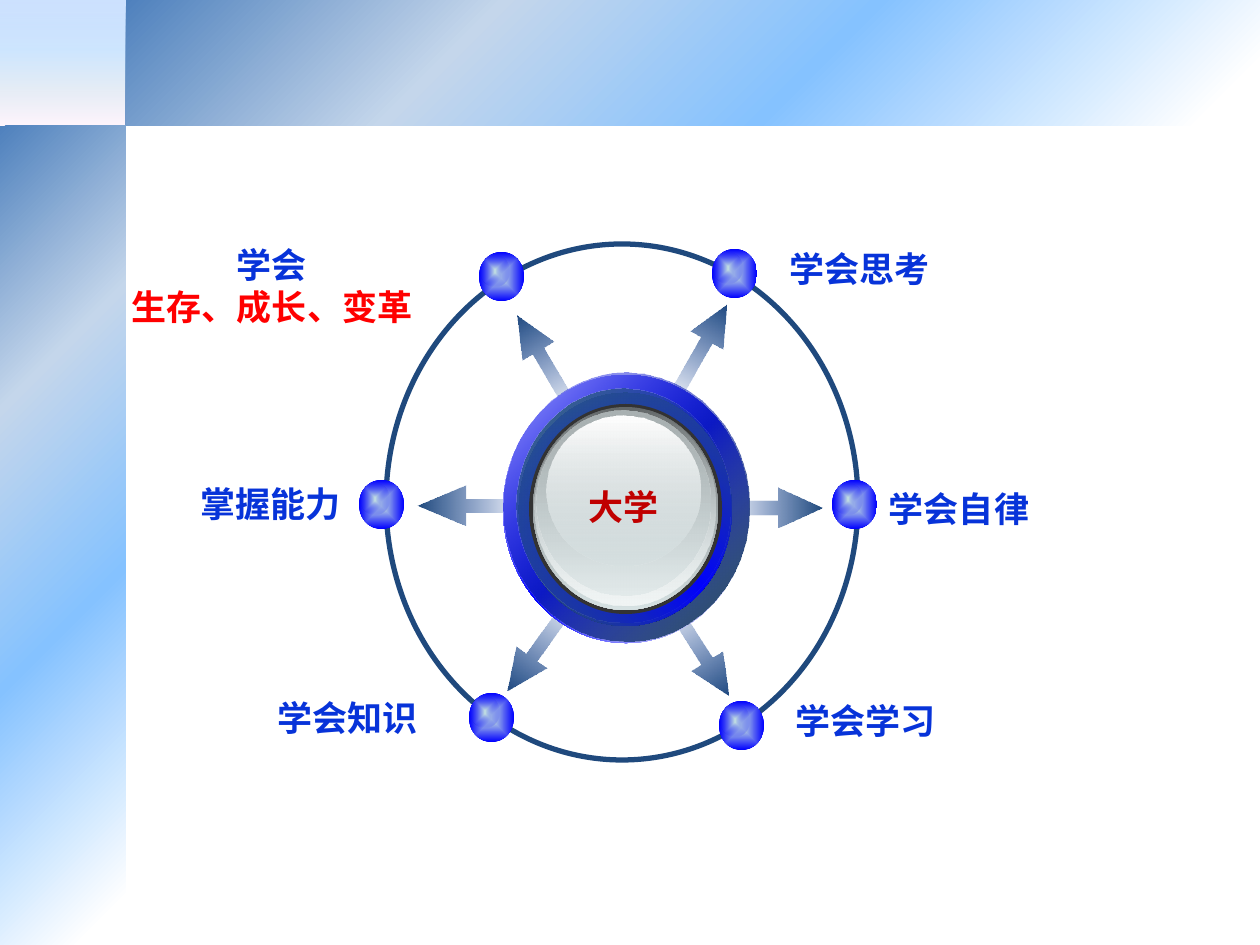
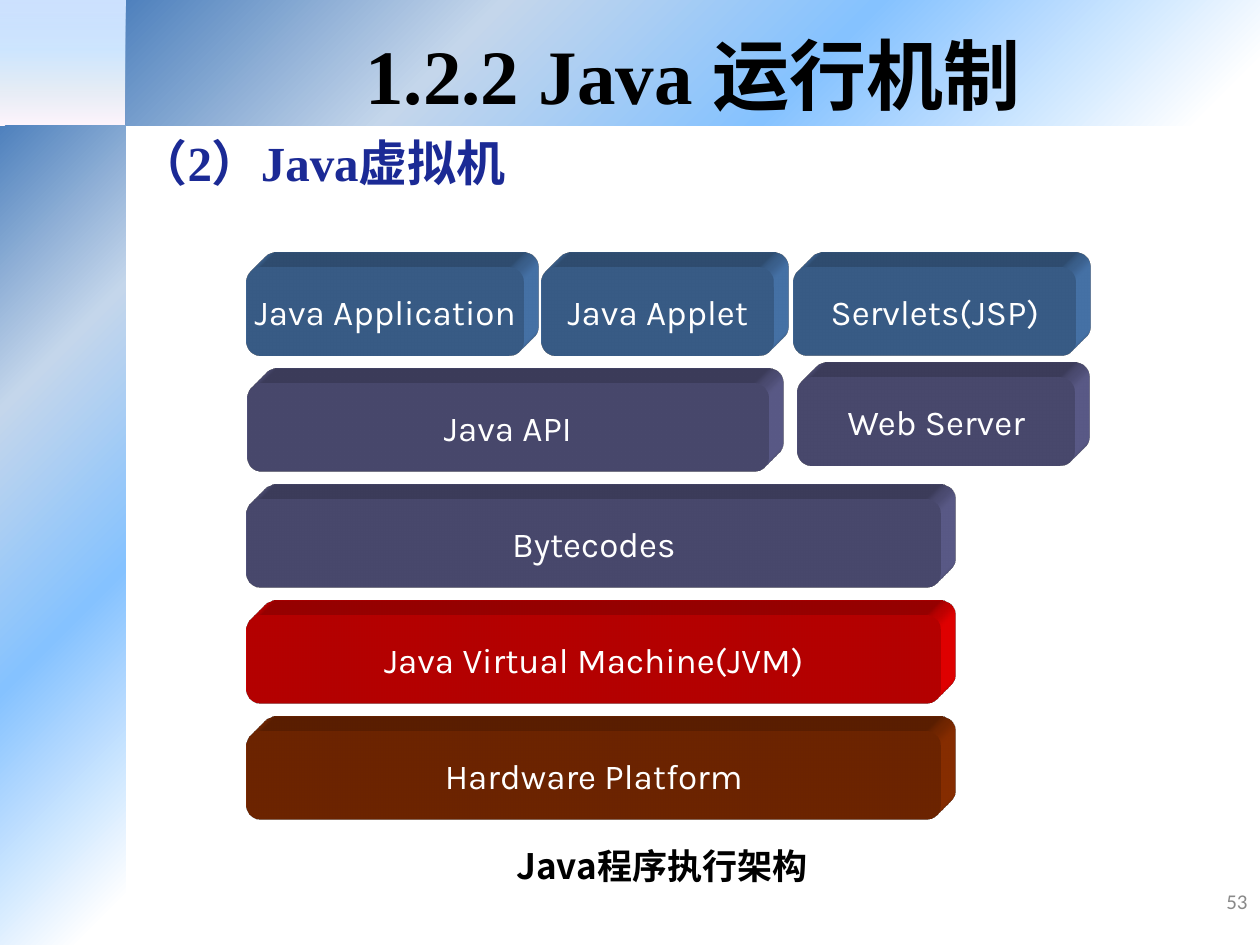
from typing import NamedTuple, Optional

from lxml import etree
from pptx import Presentation
from pptx import util as u
from pptx.dml import color as dml
from pptx.enum import shapes, text
from pptx.oxml import ns

EMU_PER_PX = 914400 / 126
CJK_FONT = "Noto Sans CJK SC"
TITLE_FONT = "Times New Roman"
BLACK, WHITE, BLUE, RED = "000000", "FFFFFF", "0733D9", "FF0000"
NAVY, STEEL, VIOLET = "1F497D", "4F81BD", "666699"
LEFT, CENTER, RIGHT = text.PP_ALIGN.LEFT, text.PP_ALIGN.CENTER, text.PP_ALIGN.RIGHT
OVAL = shapes.MSO_SHAPE.OVAL


class Box(NamedTuple):
    left: int
    top: int
    width: int
    height: int


class Stop(NamedTuple):
    position: int
    color: str
    opacity: int = 100


class Gradient(NamedTuple):
    stops: list[Stop]
    angle: int = 0
    path_kind: str = ""
    focus: tuple[int, int, int, int] = (50, 50, 50, 50)


class Style(NamedTuple):
    size: int
    color: str
    font: str = CJK_FONT
    bold: bool = True
    align: text.PP_ALIGN = LEFT


class Arrow(NamedTuple):
    box: Box
    rotation: float
    head: float = 1.11


class Label(NamedTuple):
    box: Box
    lines: list[tuple[str, str]]
    align: text.PP_ALIGN = LEFT


class Block(NamedTuple):
    caption: str
    left: int
    top: int
    width: int
    color: str


# Shared helpers
def px(length: float) -> u.Emu:
    return u.Emu(round(length * EMU_PER_PX))


def rgb(color: str) -> dml.RGBColor:
    return dml.RGBColor.from_string(color)


def add_element(parent, tag: str, **attributes):
    element = etree.SubElement(parent, ns.qn(f"a:{tag}"))
    for name, value in attributes.items():
        element.set(name, str(value))
    return element


def fill_gradient(shape, gradient: Gradient) -> None:
    shape.fill.gradient()
    element = shape.element.spPr.find(ns.qn("a:gradFill"))
    for child in list(element):
        element.remove(child)
    element.set("rotWithShape", "1")
    stop_list = add_element(element, "gsLst")
    for stop in gradient.stops:
        node = add_element(stop_list, "gs", pos=stop.position * 1000)
        color = add_element(node, "srgbClr", val=stop.color)
        if stop.opacity < 100:
            add_element(color, "alpha", val=stop.opacity * 1000)
    if gradient.path_kind:
        route = add_element(element, "path", path=gradient.path_kind)
        sides = {side: value * 1000 for side, value in zip("ltrb", gradient.focus)}
        add_element(route, "fillToRect", **sides)
    else:
        add_element(element, "lin", ang=gradient.angle * 60000, scaled=0)


def draw_shape(slide, kind: shapes.MSO_SHAPE, box: Box, fill: Optional[Gradient | str]):
    shape = slide.shapes.add_shape(kind, *map(px, box))
    shape.shadow.inherit = False
    shape.line.fill.background()
    if isinstance(fill, Gradient):
        fill_gradient(shape, fill)
    elif fill:
        shape.fill.solid()
        shape.fill.fore_color.rgb = rgb(fill)
    else:
        shape.fill.background()
    return shape


def style_paragraph(paragraph, style: Style, bullet: bool = True) -> None:
    paragraph.alignment = style.align
    paragraph.space_before = u.Pt(0)
    if not bullet:
        properties = paragraph._p.get_or_add_pPr()
        properties.set("marL", "0")
        properties.set("indent", "0")
        add_element(properties, "buNone")
    font = paragraph.font
    font.name, font.size, font.bold = style.font, u.Pt(style.size), style.bold
    font.color.rgb = rgb(style.color)
    add_element(paragraph._p.pPr.find(ns.qn("a:defRPr")), "ea", typeface=CJK_FONT)


def draw_text(slide, box: Box, lines: list[str], styles: list[Style],
              anchor: text.MSO_ANCHOR = text.MSO_ANCHOR.TOP) -> None:
    frame = slide.shapes.add_textbox(*map(px, box)).text_frame
    frame.word_wrap = True
    frame.vertical_anchor = anchor
    frame.text = "\n".join(lines)
    for paragraph, style in zip(frame.paragraphs, styles):
        style_paragraph(paragraph, style)


def fill_placeholder(placeholder, box: Box, content: str, style: Style) -> None:
    placeholder.left, placeholder.top, placeholder.width, placeholder.height = map(px, box)
    frame = placeholder.text_frame
    frame.text = content
    frame.word_wrap = True
    frame.auto_size = text.MSO_AUTO_SIZE.NONE
    frame.vertical_anchor = text.MSO_ANCHOR.TOP
    style_paragraph(frame.paragraphs[0], style, bullet=False)


# Bands that every slide takes from the master
CORNER = Gradient([Stop(0, "5E9EFF", 31), Stop(40, "85C2FF", 40),
                   Stop(70, "C4D6EB", 44), Stop(100, "FFEBFA", 50)], angle=90)
BAND = Gradient([Stop(5, WHITE), Stop(40, "85C2FF"), Stop(70, "C4D6EB"), Stop(100, STEEL)],
                path_kind="circle", focus=(100, 100, 0, 0))
BANDS = [(Box(0, 0, 126, 126), CORNER), (Box(126, 0, 1134, 126), BAND),
         (Box(0, 126, 126, 819), BAND)]


def add_master_bands(presentation, slide) -> None:
    """Draw the bands on a slide, then move them behind the master's placeholders."""
    tree = presentation.slide_master.element.cSld.spTree
    for index, (box, gradient) in enumerate(BANDS):
        band = draw_shape(slide, shapes.MSO_SHAPE.RECTANGLE, box, gradient)
        tree.insert(2 + index, band.element)


# Slide 1: what a university teaches
ARROW_FILL = Gradient([Stop(0, "15439E", 0), Stop(100, NAVY)])
ARROWS = [
    Arrow(Box(644, 334, 110, 37), 299.6),
    Arrow(Box(644, 631, 110, 37), 57.8),
    Arrow(Box(490, 344, 110, 37), 239.5),
    Arrow(Box(485, 627, 110, 37), 125.6),
    Arrow(Box(722, 488, 100, 40), 0),
    Arrow(Box(417, 486, 110, 40), 180, 1.21),
]
NODE_FILL = Gradient([Stop(0, "C6E3E2"), Stop(100, "0000FF")], path_kind="shape")
GLOW_FILL = Gradient([Stop(0, "C6E3E2"), Stop(100, "0000FF", 0)], path_kind="shape")
NODES = [(479, 252), (359, 480), (469, 693), (712, 249), (832, 480), (719, 701)]
HUB_LAYERS = [
    (Box(503, 375, 246, 268),
     Gradient([Stop(0, WHITE), Stop(50, "0000FF"), Stop(100, WHITE)], 45)),
    (Box(503, 373, 246, 268), Gradient([Stop(0, "0000FF", 32), Stop(100, "274F4E")], 45)),
    (Box(519, 393, 213, 233),
     Gradient([Stop(0, "2E5D5B"), Stop(50, "0000FF"), Stop(100, "2E5D5B")], 315)),
    (Box(517, 389, 213, 233), Gradient([Stop(0, "366D6B"), Stop(100, "0000FF", 0)], 45)),
    (Box(529, 404, 193, 210), "333333"),
    (Box(533, 407, 185, 203), Gradient([Stop(0, "636869"), Stop(100, "D6E1E2")], 90)),
    (Box(534, 408, 181, 198), Gradient([Stop(0, "D6E1E2", 0), Stop(100, "F1F5F5")], 90)),
    (Box(537, 411, 173, 185), Gradient([Stop(0, "AAB2B3"), Stop(100, "D6E1E2", 48)], 90)),
    (Box(547, 416, 154, 150), Gradient([Stop(0, WHITE), Stop(100, "D6E1E2", 38)], 90)),
]
LABELS = [
    Label(Box(570, 479, 108, 55), [("大学", "C00000")], CENTER),
    Label(Box(777, 241, 509, 55), [("学会思考", BLUE)]),
    Label(Box(81, 237, 382, 97), [("学会", BLUE), ("生存、成长、变革", RED)], CENTER),
    Label(Box(862, 481, 194, 55), [("学会自律", BLUE)], CENTER),
    Label(Box(783, 693, 228, 55), [("学会学习", BLUE)]),
    Label(Box(60, 476, 293, 55), [("掌握能力", BLUE)], RIGHT),
    Label(Box(218, 690, 212, 55), [("学会知识", BLUE)], RIGHT),
]


def build_university_slide(slide) -> None:
    for arrow in ARROWS:
        shape = draw_shape(slide, shapes.MSO_SHAPE.RIGHT_ARROW, arrow.box, ARROW_FILL)
        shape.rotation = arrow.rotation
        shape.adjustments[0], shape.adjustments[1] = 0.352, arrow.head

    orbit = draw_shape(slide, OVAL, Box(386, 244, 472, 516), None)
    orbit.line.color.rgb = rgb(NAVY)
    orbit.line.width = u.Pt(3)

    for left, top in NODES:
        draw_shape(slide, OVAL, Box(left, top, 45, 49), NODE_FILL)
        draw_shape(slide, OVAL, Box(left + 2, top + 4, 28, 31), GLOW_FILL)
    for box, fill in HUB_LAYERS:
        draw_shape(slide, OVAL, box, fill)
    for label in LABELS:
        draw_text(slide, label.box, [line for line, _ in label.lines],
                  [Style(20, color, align=label.align) for _, color in label.lines])


# Slide 2: layers that run a Java program
STACK_LEFT, BLOCK_HEIGHT = 247, 89
ROW_TOPS = [267 + 116 * row for row in range(5)]
BLOCKS = [
    Block("Java Application", STACK_LEFT, ROW_TOPS[0], 277, STEEL),
    Block("Java Applet", 542, ROW_TOPS[0], 232, STEEL),
    Block("Java API", STACK_LEFT, ROW_TOPS[1], 522, VIOLET),
    Block("Bytecodes", STACK_LEFT, ROW_TOPS[2], 694, VIOLET),
    Block("Java Virtual Machine(JVM)", STACK_LEFT, ROW_TOPS[3], 694, RED),
    Block("Hardware Platform", STACK_LEFT, ROW_TOPS[4], 694, "993300"),
    Block("Servlets(JSP)", 794, ROW_TOPS[0], 282, STEEL),
    Block("Web Server", 798, 377, 277, VIOLET),
]


def extrude(shape, color: str) -> None:
    """Give the shape depth towards the top right."""
    properties = shape.element.spPr
    scene = add_element(properties, "scene3d")
    add_element(scene, "camera", prst="legacyObliqueTopRight")
    add_element(scene, "lightRig", rig="legacyFlat3", dir="b")
    solid = add_element(properties, "sp3d", extrusionH=px(42), prstMaterial="legacyMatte")
    add_element(add_element(solid, "extrusionClr"), "srgbClr", val=color)


def draw_block(slide, block: Block) -> None:
    box = Box(block.left, block.top, block.width, BLOCK_HEIGHT)
    shape = draw_shape(slide, shapes.MSO_SHAPE.ROUNDED_RECTANGLE, box, block.color)
    extrude(shape, block.color)
    frame = shape.text_frame
    frame.word_wrap = False
    frame.vertical_anchor = text.MSO_ANCHOR.MIDDLE
    frame.text = block.caption
    style_paragraph(frame.paragraphs[0], Style(20, WHITE, "Karla", False, CENTER))


def build_java_slide(slide) -> None:
    title, body = slide.placeholders
    fill_placeholder(title, Box(126, 21, 1134, 105), "1.2.2 Java 运行机制",
                     Style(44, BLACK, TITLE_FONT, align=CENTER))
    fill_placeholder(body, Box(126, 126, 935, 72), "（2）Java虚拟机",
                     Style(28, "1B2A95", TITLE_FONT))
    for block in BLOCKS:
        draw_block(slide, block)
    draw_text(slide, Box(504, 838, 588, 55), ["Java程序执行架构"], [Style(20, BLACK)])
    draw_text(slide, Box(966, 876, 294, 50), ["53"],
              [Style(12, "898989", "Calibri", False, RIGHT)], text.MSO_ANCHOR.MIDDLE)


def main() -> None:
    presentation = Presentation()
    presentation.slide_width, presentation.slide_height = px(1260), px(945)
    layouts = presentation.slide_layouts
    university = presentation.slides.add_slide(layouts.get_by_name("Blank"))
    add_master_bands(presentation, university)
    build_university_slide(university)
    build_java_slide(presentation.slides.add_slide(layouts.get_by_name("Title and Content")))
    presentation.save("out.pptx")


if __name__ == "__main__":
    main()
